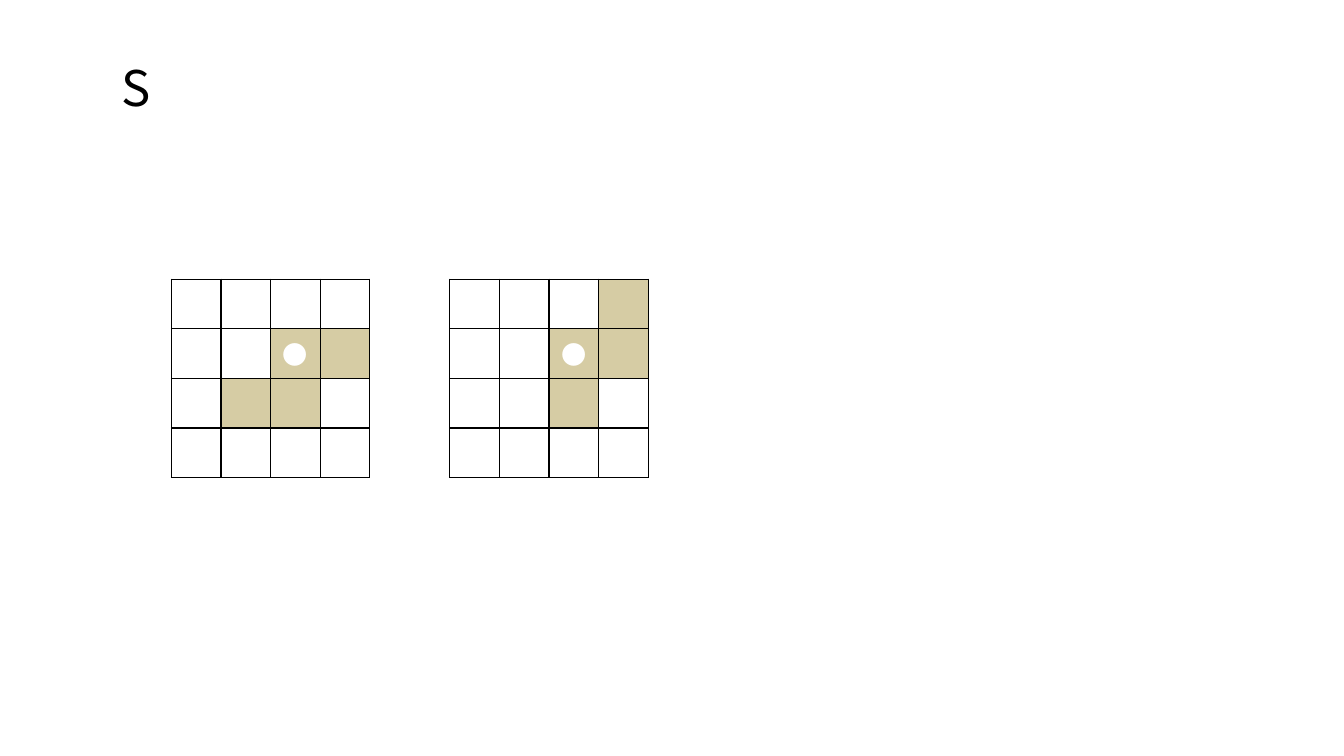
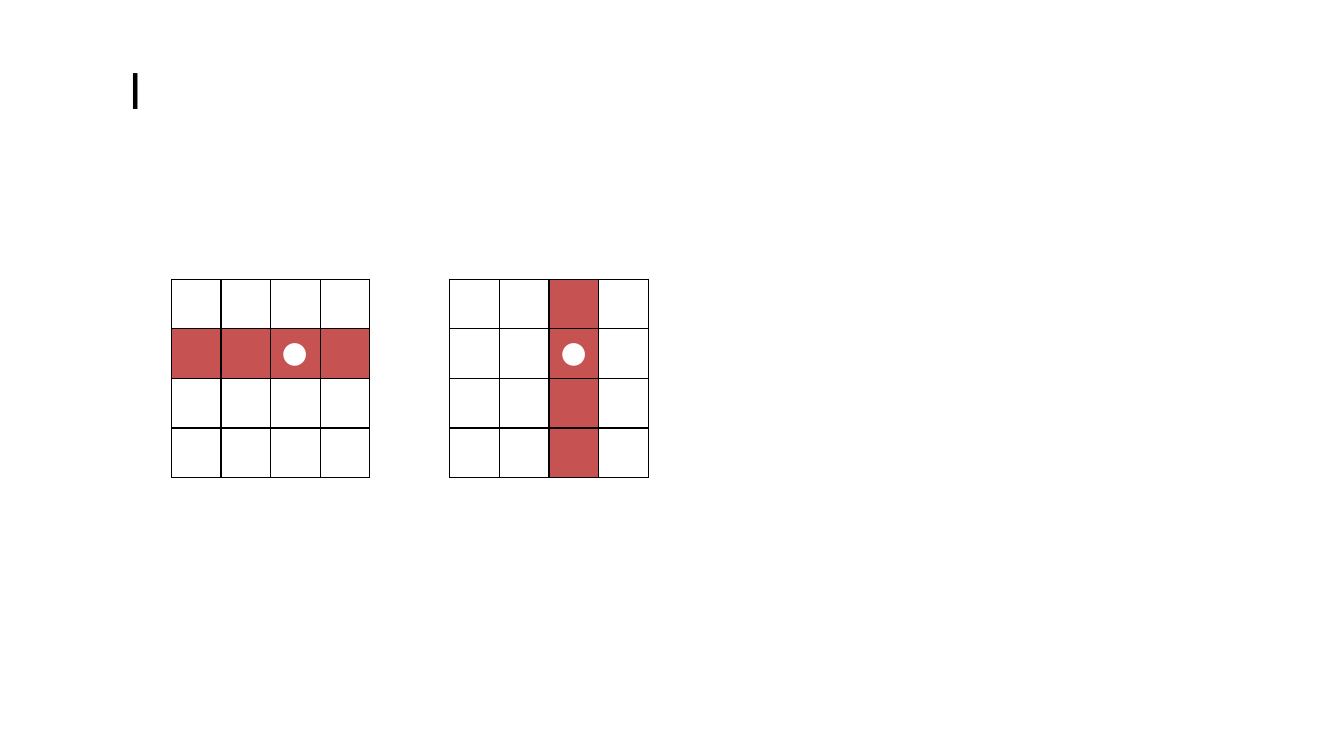
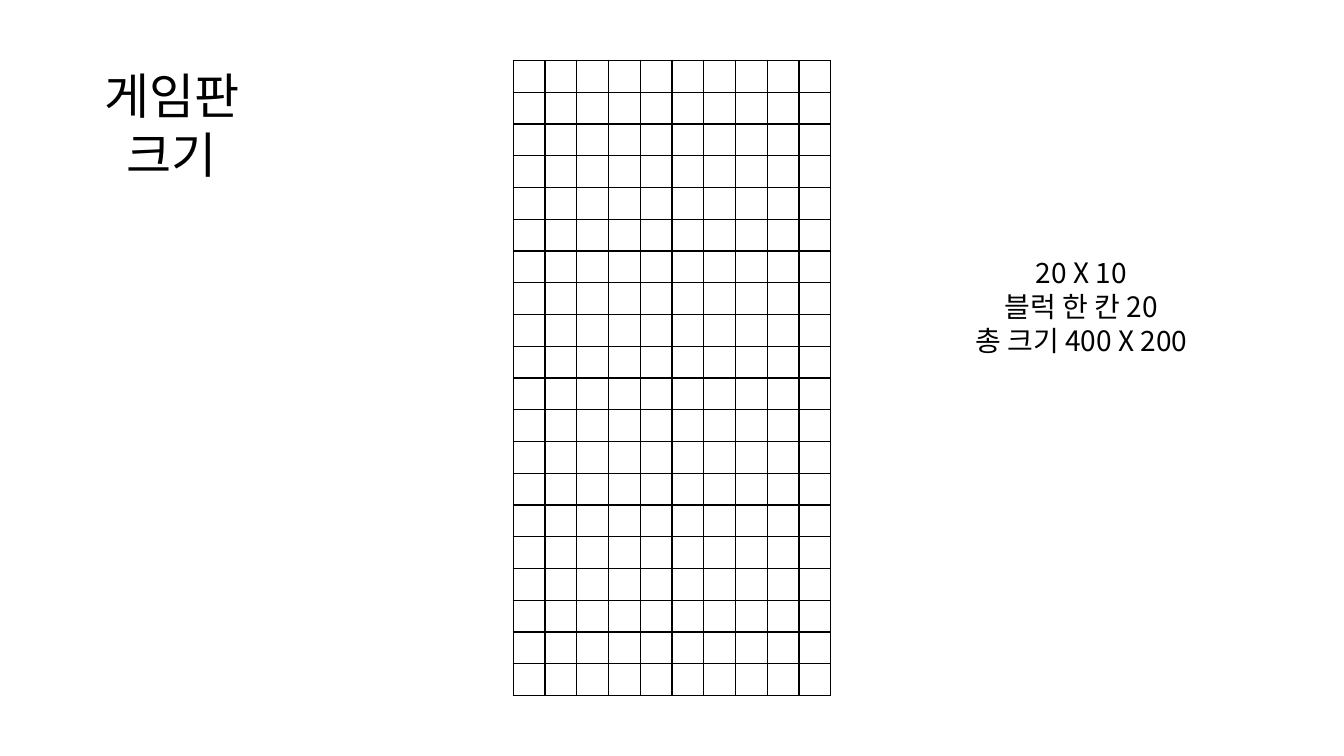
from lxml.etree import SubElement
from pptx import Presentation
from pptx.dml.color import RGBColor
from pptx.enum.text import MSO_ANCHOR, MSO_AUTO_SIZE, PP_ALIGN
from pptx.oxml import parse_xml
from pptx.oxml.ns import nsdecls, qn
from pptx.util import Inches, Pt

FONT = "Noto Sans CJK KR"
COLORS = {"text": "000000", "grid": "000000", "empty": "FFFFFF",
          "dot": "FFFFFF", "sand": "D6CCA4", "red": "C75252"}
TITLE_ONLY = 5
PIVOT = (1, 2)
BLOCK_SIZE = 1.97
BLOCK_LEFTS = (1.7, 4.46)
BLOCK_TOP = 2.77

S_ROTATIONS = (
    ("....", "..##", ".##.", "...."),
    ("...#", "..##", "..#.", "...."),
)
I_ROTATIONS = (
    ("....", "####", "....", "...."),
    ("..#.", "..#.", "..#.", "..#."),
)


def rgb(name):
    return RGBColor.from_string(COLORS[name])


def write_text(text_frame, text, size=20, color="text", spacing=None,
               anchor=MSO_ANCHOR.TOP):
    text_frame.text = text
    text_frame.word_wrap = True
    text_frame.auto_size = MSO_AUTO_SIZE.NONE
    text_frame.vertical_anchor = anchor
    for paragraph in text_frame.paragraphs:
        paragraph.alignment = PP_ALIGN.CENTER
        if spacing:
            paragraph.line_spacing = Pt(spacing)
        for run in paragraph.runs:
            run.font.name = FONT
            run.font.size = Pt(size)
            run.font.color.rgb = rgb(color)
            properties = run.font._element
            SubElement(properties, qn("a:ea")).set("typeface", FONT)


def add_title_slide(presentation, title, left, top, width, height):
    slide = presentation.slides.add_slide(presentation.slide_layouts[TITLE_ONLY])
    shape = slide.shapes.title
    shape.left, shape.top = Inches(left), Inches(top)
    shape.width, shape.height = Inches(width), Inches(height)
    write_text(shape.text_frame, title, size=35, spacing=42)
    return slide


def format_cell(cell, fill):
    cell.margin_left = cell.margin_right = 0
    cell.margin_top = cell.margin_bottom = 0
    if fill:
        cell.fill.solid()
        cell.fill.fore_color.rgb = rgb(fill)
    else:
        cell.fill.background()
    properties = cell._tc.get_or_add_tcPr()
    for index, side in enumerate(("lnL", "lnR", "lnT", "lnB")):
        properties.insert(index, parse_xml(
            f'<a:{side} {nsdecls("a")} w="12700"><a:solidFill>'
            f'<a:srgbClr val="{COLORS["grid"]}"/></a:solidFill></a:{side}>'))
    paragraph = cell.text_frame.paragraphs[0]
    SubElement(paragraph._p, qn("a:endParaRPr")).set("sz", "600")


def add_grid(slide, left, top, width, height, fills):
    row_count, column_count = len(fills), len(fills[0])
    table = slide.shapes.add_table(
        row_count, column_count, Inches(left), Inches(top),
        Inches(width), Inches(height)).table
    table.first_row = False
    table.horz_banding = False
    for column in table.columns:
        column.width = Inches(width / column_count)
    for row in table.rows:
        row.height = Inches(height / row_count)
    for row_index, row_fills in enumerate(fills):
        for column_index, fill in enumerate(row_fills):
            format_cell(table.cell(row_index, column_index), fill)
    return table


def add_block(slide, left, top, size, pattern, color):
    fills = [[color if mark == "#" else "empty" for mark in row]
             for row in pattern]
    pivot = add_grid(slide, left, top, size, size, fills).cell(*PIVOT)
    write_text(pivot.text_frame, "●", size=18, color="dot")
    pivot.vertical_anchor = MSO_ANCHOR.MIDDLE


def add_block_slide(presentation, name, title_top, color, rotations):
    slide = add_title_slide(presentation, name, 1, title_top, 0.7, 0.68)
    for left, pattern in zip(BLOCK_LEFTS, rotations):
        add_block(slide, left, BLOCK_TOP, BLOCK_SIZE, pattern, color)


def add_board_slide(presentation):
    slide = add_title_slide(presentation, "게임판 크기", 0.6, 0.6, 2.21, 1.26)
    add_grid(slide, 5.09, 0.6, 3.15, 6.3, [[None] * 10] * 20)
    note = slide.shapes.add_textbox(
        Inches(9.11), Inches(2.49), Inches(3.23), Inches(1.1))
    write_text(note.text_frame, "20 X 10\n블럭 한 칸 20\n총 크기 400 X 200",
               spacing=24)


def main():
    presentation = Presentation()
    presentation.slide_width = Inches(13.33)
    presentation.slide_height = Inches(7.5)
    add_block_slide(presentation, "S", 0.52, "sand", S_ROTATIONS)
    add_block_slide(presentation, "I", 0.55, "red", I_ROTATIONS)
    add_board_slide(presentation)
    presentation.save("out.pptx")


if __name__ == "__main__":
    main()
